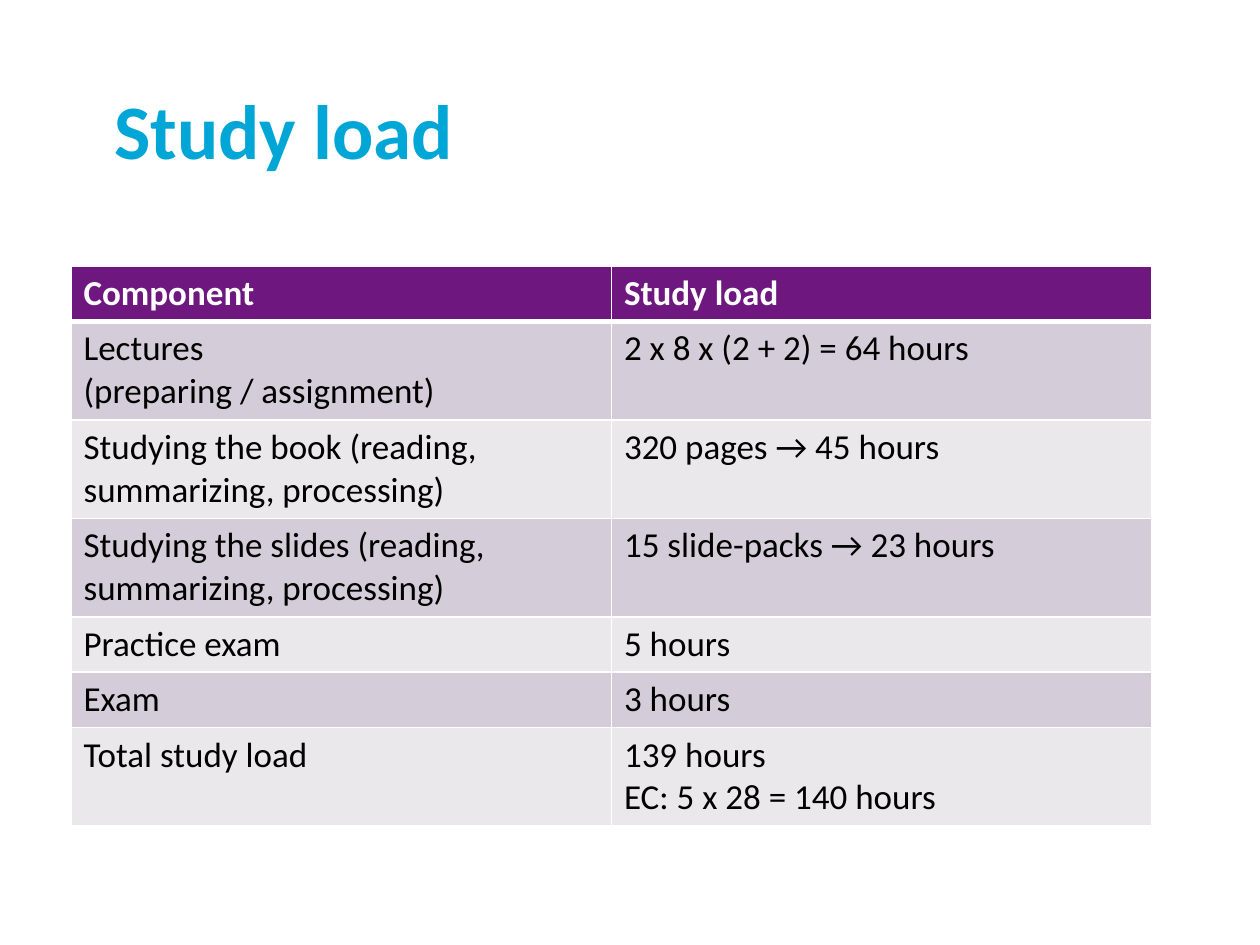
from lxml import etree
from pptx import Presentation
from pptx import util as u
from pptx.dml.color import RGBColor
from pptx.enum import text
from pptx.oxml import ns

SCALE = 914400 / 126
FONT = "Calibri"
WHITE, BLACK, BLUE, PURPLE = "FFFFFF", "000000", "00A6D6", "6D177F"
BANDS = ("D4CCD8", "EBE8EC")
ROWS = [
    (["Component"], ["Study load"]),
    (["Lectures", "(preparing / assignment)"], ["2 x 8 x (2 + 2) = 64 hours"]),
    (["Studying the book (reading, summarizing, processing)"], ["320 pages → 45 hours"]),
    (["Studying the slides (reading, summarizing, processing)"], ["15 slide-packs → 23 hours"]),
    (["Practice exam"], ["5 hours"]),
    (["Exam"], ["3 hours"]),
    (["Total study load"], ["139 hours", "EC: 5 x 28 = 140 hours"]),
]
HEIGHTS = (55, 98, 98, 98, 55, 55, 98)


def px(num):
    """Turn pixels into EMU."""
    return u.Emu(round(num * SCALE))


def paint(color, code):
    """Set a colour from a hex string."""
    color.rgb = RGBColor.from_string(code)


def write(frame, lines, size, code, bold):
    """Write each line as a paragraph with one run."""
    for num, line in enumerate(lines):
        para = frame.add_paragraph() if num else frame.paragraphs[0]
        run = para.add_run()
        run.text = line
        run.font.name, run.font.size, run.font.bold = FONT, u.Pt(size), bold
        paint(run.font.color, code)


def edge(cell, side, width):
    """Draw a white border on one side of a cell."""
    line = etree.SubElement(cell._tc.get_or_add_tcPr(), ns.qn("a:ln" + side), w=str(u.Pt(width)))
    fill = etree.SubElement(line, ns.qn("a:solidFill"))
    etree.SubElement(fill, ns.qn("a:srgbClr"), val=WHITE)


def title(slide, left, top, width, height):
    """Place the slide title in its box."""
    frame = slide.shapes.add_textbox(px(left), px(top), px(width), px(height)).text_frame
    frame.word_wrap = True
    frame.vertical_anchor = text.MSO_ANCHOR.MIDDLE
    write(frame, ["Study load"], 44, BLUE, True)


def table(slide, left, top, width, height):
    """Place the study load table in its box."""
    grid = slide.shapes.add_table(len(ROWS), 2, px(left), px(top), px(width), px(height)).table
    for col in grid.columns:
        col.width = px(width / 2)
    for r, row in enumerate(ROWS):
        grid.rows[r].height = px(height * HEIGHTS[r] / sum(HEIGHTS))
        head = r == 0
        for c, lines in enumerate(row):
            cell = grid.cell(r, c)
            for side in "LRTB":
                thick = (head and side == "B") or (r == 1 and side == "T")
                edge(cell, side, 3 if thick else 1)
            cell.fill.solid()
            paint(cell.fill.fore_color, PURPLE if head else BANDS[(r - 1) % 2])
            write(cell.text_frame, lines, 20, WHITE if head else BLACK, head)


def main():
    """Build the slide and save it."""
    deck = Presentation()
    deck.slide_width, deck.slide_height = px(1260), px(945)
    slide = deck.slides.add_slide(deck.slide_layouts[6])
    title(slide, 102, 50, 1051, 158)
    table(slide, 71, 266, 1081, 560)
    deck.save("out.pptx")


if __name__ == "__main__":
    main()
